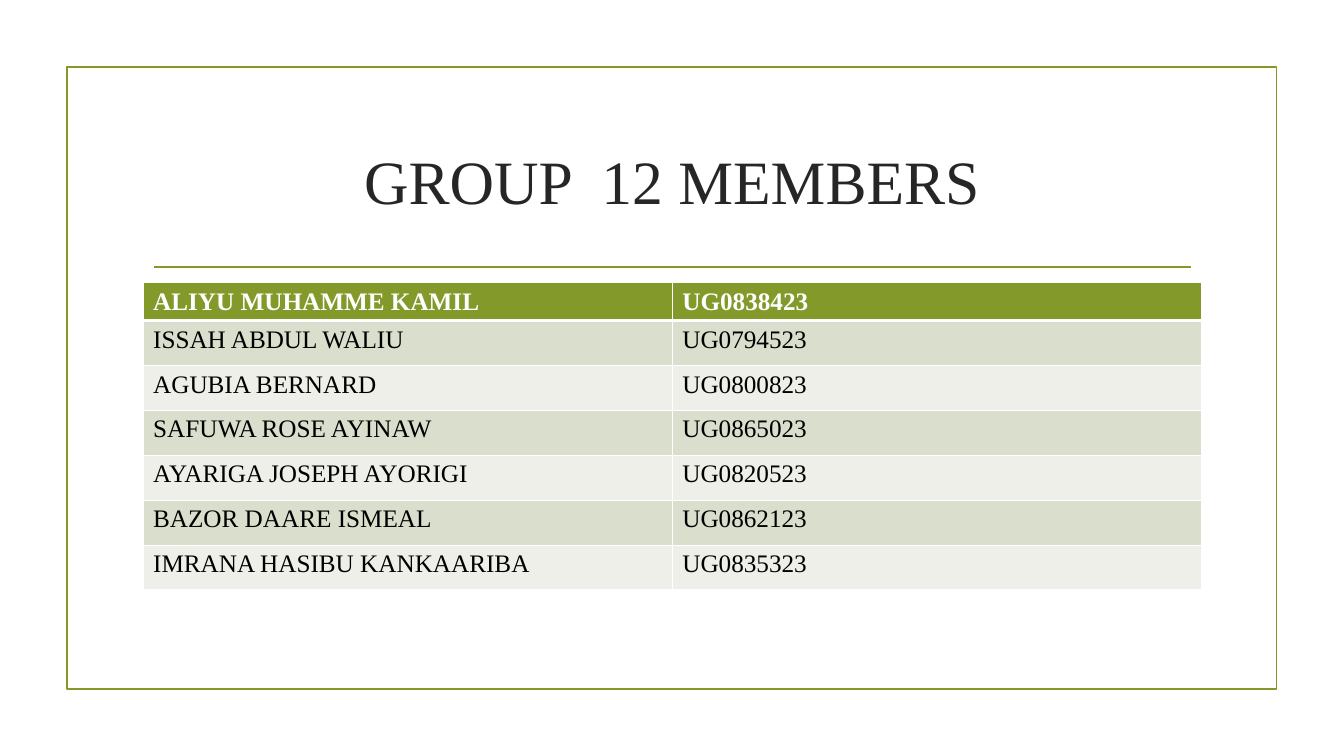
"""Build the slide that lists the members of Group 12."""
from dataclasses import dataclass

import lxml.etree
import pptx
import pptx.dml.color
import pptx.enum.shapes
import pptx.enum.text
import pptx.oxml.ns
import pptx.util

Pt = pptx.util.Pt
qn = pptx.oxml.ns.qn

COLORS = {
    "accent": "83992A",
    "title": "262626",
    "white": "FFFFFF",
    "black": "000000",
    "band_dark": "D9DECD",
    "band_light": "EDEFE8",
}
FONT = "Times New Roman"
LEFT, WIDTH = 102.2, 756
HEADER_HEIGHT, ROW_HEIGHT = 26.6, 32.1
THIN, THICK = 1, 3


@dataclass(frozen=True)
class Member:
    name: str
    index_number: str


@dataclass(frozen=True)
class RowStyle:
    fill: str
    text: str
    bold: bool
    top: float
    bottom: float


MEMBERS = [
    Member("ALIYU MUHAMME KAMIL", "UG0838423"),
    Member("ISSAH ABDUL WALIU", "UG0794523"),
    Member("AGUBIA BERNARD", "UG0800823"),
    Member("SAFUWA ROSE AYINAW", "UG0865023"),
    Member("AYARIGA JOSEPH AYORIGI", "UG0820523"),
    Member("BAZOR DAARE ISMEAL", "UG0862123"),
    Member("IMRANA HASIBU KANKAARIBA", "UG0835323"),
]


def rgb(key: str) -> pptx.dml.color.RGBColor:
    return pptx.dml.color.RGBColor.from_string(COLORS[key])


def set_font(paragraph, size: float, color: str, bold: bool = False) -> None:
    font = paragraph.font
    font.name, font.size, font.bold = FONT, Pt(size), bold
    font.color.rgb = rgb(color)


def row_style(row: int) -> RowStyle:
    if row == 0:
        return RowStyle("accent", "white", True, THIN, THICK)
    band = "band_dark" if row % 2 else "band_light"
    return RowStyle(band, "black", False, THICK if row == 1 else THIN, THIN)


def set_borders(cell, style: RowStyle) -> None:
    properties = cell._tc.get_or_add_tcPr()
    widths = {"lnL": THIN, "lnR": THIN, "lnT": style.top, "lnB": style.bottom}
    for side, width in widths.items():
        border = lxml.etree.SubElement(properties, qn(f"a:{side}"), w=str(Pt(width)))
        fill = lxml.etree.SubElement(border, qn("a:solidFill"))
        lxml.etree.SubElement(fill, qn("a:srgbClr"), val=COLORS["white"])


def fill_cell(cell, text: str, style: RowStyle) -> None:
    set_borders(cell, style)
    cell.fill.solid()
    cell.fill.fore_color.rgb = rgb(style.fill)
    cell.text = text
    set_font(cell.text_frame.paragraphs[0], 18, style.text, style.bold)


def outline(line) -> None:
    line.color.rgb = rgb("accent")
    line.width = Pt(1.25)


def add_frame(slide) -> None:
    frame = slide.shapes.add_shape(
        pptx.enum.shapes.MSO_SHAPE.RECTANGLE, Pt(47.8), Pt(48), Pt(864), Pt(444))
    frame.shadow.inherit = False
    frame.fill.background()
    outline(frame.line)


def add_title_rule(slide) -> None:
    rule = slide.shapes.add_connector(
        pptx.enum.shapes.MSO_CONNECTOR.STRAIGHT, Pt(110), Pt(190.6), Pt(850.5), Pt(190.6))
    lxml.etree.SubElement(rule._element.spPr, qn("a:effectLst"))
    outline(rule.line)


def place_title(slide, text: str) -> None:
    title = slide.shapes.title
    title.left, title.top, title.width, title.height = Pt(LEFT), Pt(77), Pt(WIDTH), Pt(103)
    title.text = text
    title.text_frame.vertical_anchor = pptx.enum.text.MSO_ANCHOR.MIDDLE
    heading = title.text_frame.paragraphs[0]
    heading.alignment = pptx.enum.text.PP_ALIGN.CENTER
    set_font(heading, 44, "title")


def add_members(slide, members: list[Member]) -> None:
    height = HEADER_HEIGHT + ROW_HEIGHT * (len(members) - 1)
    roster = slide.shapes.add_table(
        len(members), 2, Pt(LEFT), Pt(201.8), Pt(WIDTH), Pt(height)).table
    for row, member in enumerate(members):
        roster.rows[row].height = Pt(ROW_HEIGHT if row else HEADER_HEIGHT)
        for column, text in enumerate((member.name, member.index_number)):
            fill_cell(roster.cell(row, column), text, row_style(row))


def main() -> None:
    deck = pptx.Presentation()
    deck.slide_width, deck.slide_height = Pt(960), Pt(540)
    slide = deck.slides.add_slide(deck.slide_layouts.get_by_name("Title Only"))
    add_frame(slide)
    add_title_rule(slide)
    place_title(slide, "GROUP  12 MEMBERS")
    add_members(slide, MEMBERS)
    deck.save("out.pptx")


if __name__ == "__main__":
    main()
